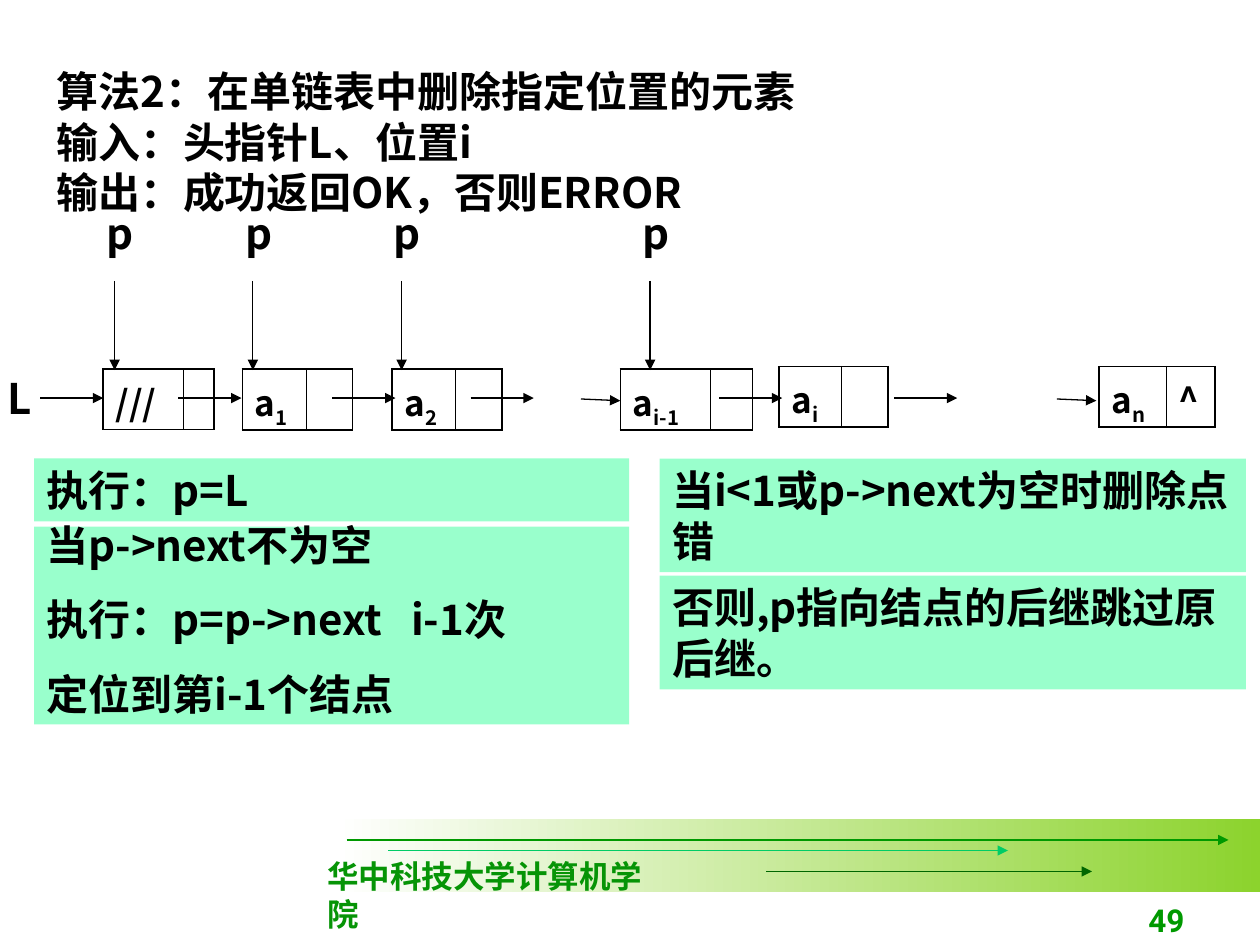
from lxml import etree
from pptx import Presentation
from pptx.dml.color import RGBColor
from pptx.enum import shapes, text
from pptx.oxml import ns
from pptx.util import Pt

BLACK = RGBColor(0, 0, 0)
WHITE = RGBColor(255, 255, 255)
MINT = RGBColor(0x99, 0xFF, 0xCC)
LIME = RGBColor(0x8C, 0xD3, 0x2D)
GREEN = RGBColor(0, 0x99, 0)
JADE = RGBColor(0, 0xCC, 0x66)
FOREST = RGBColor(0, 0x66, 0)
SCHOOL_GREEN = RGBColor(0x06, 0x94, 0x06)
SANS = "Noto Sans CJK SC"


def style(para, size=24, color=BLACK, name=SANS):
    font = para.font
    font.size, font.bold, font.name = Pt(size), True, name
    font.color.rgb = color


def write(frame, lines, gap=0, spacing=None, align=text.PP_ALIGN.LEFT, **look):
    frame.word_wrap = True
    for i, line in enumerate(lines):
        para = frame.add_paragraph() if i else frame.paragraphs[0]
        para.add_run().text = line
        para.alignment = align
        if i and gap:
            para.space_before = Pt(gap)
        if spacing:
            para.line_spacing = spacing
        style(para, **look)


def add_label(slide, left, top, width, height, lines, **look):
    box = slide.shapes.add_textbox(Pt(left), Pt(top), Pt(width), Pt(height))
    write(box.text_frame, lines, **look)
    return box


def add_block(slide, left, top, width, height):
    block = slide.shapes.add_shape(
        shapes.MSO_SHAPE.RECTANGLE, Pt(left), Pt(top), Pt(width), Pt(height))
    block.shadow.inherit = False
    block.line.fill.background()
    return block


def add_note(slide, left, top, width, height, lines, **look):
    note = add_block(slide, left, top, width, height)
    note.fill.solid()
    note.fill.fore_color.rgb = MINT
    note.text_frame.vertical_anchor = text.MSO_ANCHOR.TOP
    write(note.text_frame, lines, **look)


def add_arrow(slide, x1, y1, x2, y2, color=BLACK):
    arrow = slide.shapes.add_connector(
        shapes.MSO_CONNECTOR.STRAIGHT, Pt(x1), Pt(y1), Pt(x2), Pt(y2))
    arrow.line.color.rgb = color
    arrow.line.width = Pt(0.75)
    etree.SubElement(arrow.line._get_or_add_ln(), ns.qn("a:tailEnd"), type="triangle")
    etree.SubElement(arrow._element.spPr, ns.qn("a:effectLst"))


def set_borders(cell, **widths):
    """Draw black cell borders; widths are in points, keyed L, R, T and B."""
    props = cell._tc.get_or_add_tcPr()
    for i, side in enumerate("LRTB"):
        line = etree.Element(ns.qn(f"a:ln{side}"), w=str(Pt(widths[side])))
        fill = etree.SubElement(line, ns.qn("a:solidFill"))
        etree.SubElement(fill, ns.qn("a:srgbClr"), val=str(BLACK))
        props.insert(i, line)


def add_node(slide, left, top, data_width, link_width, data, sub="", link=""):
    """Add a list node: a data cell with a subscript and a link cell."""
    height = 34.5
    table = slide.shapes.add_table(
        1, 2, Pt(left), Pt(top), Pt(data_width + link_width), Pt(height)).table
    table.first_row = table.horz_banding = False
    outer, inner = 1.08, 0.45
    edges = ((outer, inner), (inner, outer))
    for i, (width, content) in enumerate(((data_width, data), (link_width, link))):
        table.columns[i].width = Pt(width)
        cell = table.cell(0, i)
        cell.fill.background()
        set_borders(cell, L=edges[i][0], R=edges[i][1], T=outer, B=outer)
        para = cell.text_frame.paragraphs[0]
        if content:
            para.add_run().text = content
        style(para, 20)
    if sub:
        span = table.cell(0, 0).text_frame.paragraphs[0].add_run()
        span.text = sub
        span._r.get_or_add_rPr().set("baseline", "-25000")


def add_pointer(slide, x, top):
    add_label(slide, x - 11.5, top, 28, 36, ["p"])
    add_arrow(slide, x, top + 45.5, x, top + 96.5)


def add_linked_list(slide, top):
    add_label(slide, -3, top, 28, 36, ["L"])
    for node in (
        (59, top + 1.5, 46, 17, "///"),
        (138.5, top + 1.5, 36.5, 26.5, "a", "1"),
        (224, top + 1.5, 36.5, 26.5, "a", "2"),
        (354.5, top + 1.5, 51.5, 24, "a", "i-1"),
        (445, top, 36, 26.5, "a", "i"),
        (628, top, 38.5, 28, "a", "n", "^"),
    ):
        add_node(slide, *node)
    link_y = top + 18
    for x in (23, 102, 190, 269, 411, 511):
        add_arrow(slide, x, link_y, x + 36, link_y)
    for x in (332, 604):
        add_arrow(slide, x, link_y + 0.5, x + 22.5, link_y + 1.5)
    for x in (65.5, 144.5, 229.5, 371.5):
        add_pointer(slide, x, top - 94.5)


def add_notes(slide, top):
    left, width = 19.5, 340
    add_note(slide, left, top, width, 36, ["执行：p=L"])
    add_note(slide, left, top + 39, width, 113,
             ["当p->next不为空", "执行：p=p->next   i-1次", "定位到第i-1个结点"],
             gap=22.5, spacing=0.7)
    left, width = 377, 335
    for i, line in enumerate(("当i<1或p->next为空时删除点错",
                              "否则,p指向结点的后继跳过原后继。")):
        add_note(slide, left, top + i * 67, width, 65, [line])


def add_footer(slide, left, top, width, height):
    band = add_block(slide, left, top, width, height)
    band.fill.gradient()
    band.fill.gradient_angle = 0
    for stop, color in zip(band.fill.gradient_stops, (WHITE, LIME)):
        stop.color.rgb = color
    for x, y, length, color in ((6, 12, 504, GREEN), (30, 18, 354, JADE),
                                (246, 30, 186, FOREST)):
        add_arrow(slide, left + x, top + y, left + x + length, top + y, color)
    school = add_label(slide, left - 12, top + 18, 212, 29, ["华中科技大学计算机学院"],
                       size=18, color=SCHOOL_GREEN, name="Times New Roman")
    school.text_frame.word_wrap = False
    number = add_label(slide, left + 342, top + 36, 150, 36, ["49"], size=18,
                       color=GREEN, name="Roboto", align=text.PP_ALIGN.RIGHT)
    number.text_frame.vertical_anchor = text.MSO_ANCHOR.BOTTOM


def main():
    deck = Presentation()
    deck.slide_width, deck.slide_height = Pt(720), Pt(540)
    page = deck.slides.add_slide(deck.slide_layouts[6])
    add_footer(page, 192, 468, 528, 42)
    add_linked_list(page, 209.5)
    add_notes(page, 262)
    add_label(page, 25.5, 34, 657, 94, [
        "算法2：在单链表中删除指定位置的元素",
        "输入：头指针L、位置i",
        "输出：成功返回OK，否则ERROR"])
    deck.save("out.pptx")


if __name__ == "__main__":
    main()
